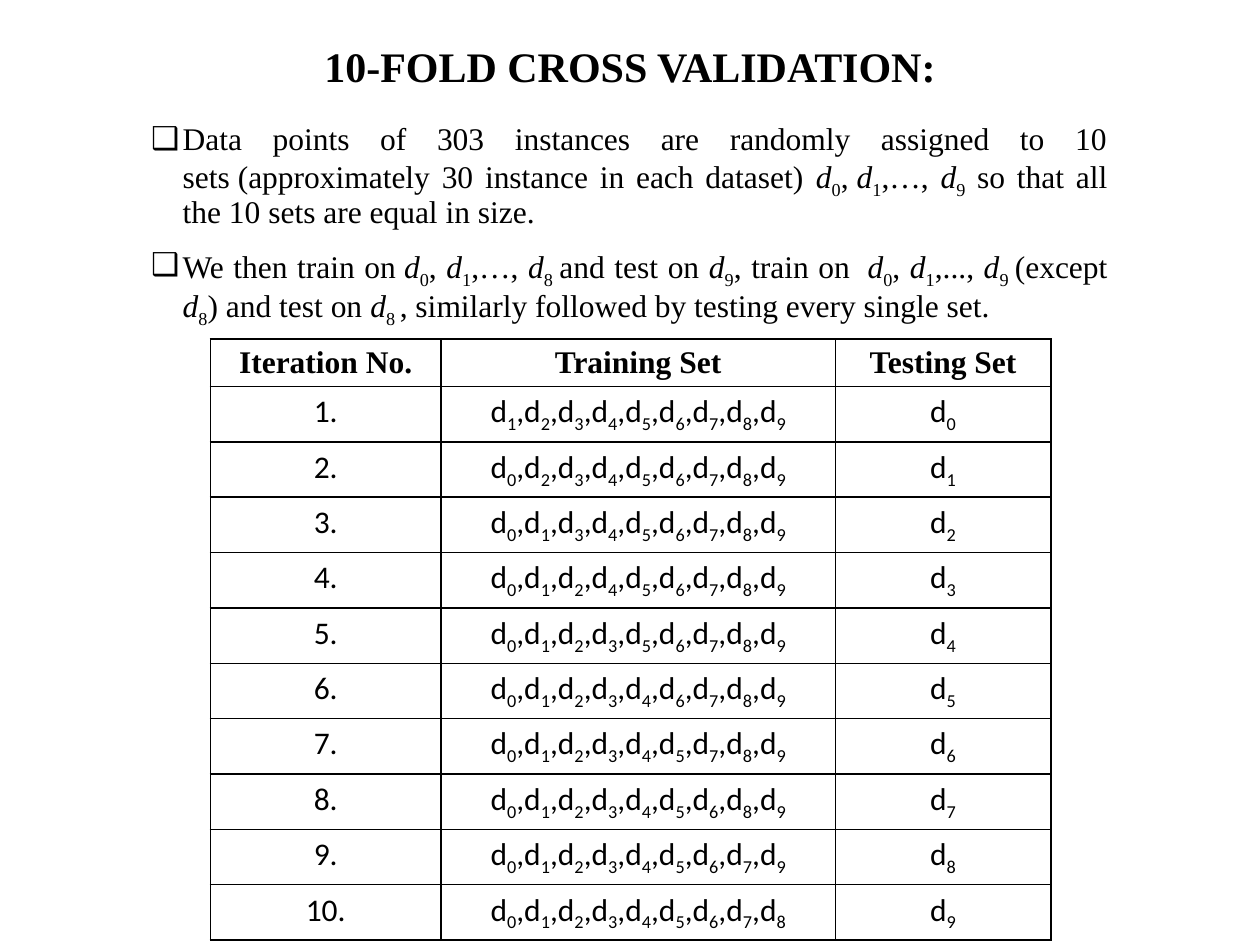
from typing import NamedTuple

import pptx
import pptx.dml.color
import pptx.enum.text
import pptx.oxml
import pptx.oxml.ns
import pptx.util
from pptx.util import Inches

BLACK = pptx.dml.color.RGBColor(0, 0, 0)
SERIF, SANS = "Times New Roman", "Calibri"
ALIGN = pptx.enum.text.PP_ALIGN
ANCHOR = pptx.enum.text.MSO_ANCHOR
FOLDS = 10
ROW_HEIGHT = 0.33


class Style(NamedTuple):
    """Look of the text in one paragraph."""
    face: str
    size: int = 18
    bold: bool = False
    italic_sets: bool = False


class Column(NamedTuple):
    """One table column."""
    heading: str
    width: float


TITLE = Style(SERIF, 24, bold=True)
BODY = Style(SERIF, italic_sets=True)
HEADING = Style(SERIF, bold=True)
CELL = Style(SANS)

COLUMNS = [
    Column("Iteration No.", 1.83),
    Column("Training Set", 3.13),
    Column("Testing Set", 1.71),
]

# {n} stands for the letter d with subscript n.
BULLETS = [
    "Data points of 303 instances are randomly assigned to 10 sets\u00a0"
    "(approximately 30 instance in each dataset) {0},\u00a0{1},\u2026, {9}"
    " so that all the 10 sets are equal in size. ",
    "We then train on\u00a0{0}, {1},\u2026, {8 }and test on {9}, train on\u00a0"
    " {0}, {1},..., {9 }(except {8}) and test on\u00a0{8 }, similarly followed"
    " by testing every single set. ",
]


def add_run(p, text: str, style: Style, italic: bool = False, sub: bool = False) -> None:
    """Append one run, if it has text."""
    if not text:
        return
    r = p.add_run()
    r.text = text
    r.font.name = style.face
    r.font.size = pptx.util.Pt(style.size)
    r.font.bold = style.bold
    r.font.italic = italic
    r.font.color.rgb = BLACK
    if sub:
        r.font._element.set("baseline", "-25000")


def write(p, text: str, style: Style, align) -> None:
    """Fill a paragraph, setting each {n} as d with a subscript."""
    p.alignment = align
    lead, *parts = text.split("{")
    add_run(p, lead, style)
    for part in parts:
        index, rest = part.split("}")
        add_run(p, "d", style, italic=style.italic_sets)
        add_run(p, index, style, sub=True)
        add_run(p, rest, style)


def place(shape, left: float, top: float, width: float, height: float) -> None:
    """Move and size a placeholder."""
    shape.left, shape.top = Inches(left), Inches(top)
    shape.width, shape.height = Inches(width), Inches(height)
    shape.text_frame.auto_size = pptx.enum.text.MSO_AUTO_SIZE.NONE


def set_bullet(p) -> None:
    """Give a paragraph a hanging box bullet."""
    pPr = p._p.get_or_add_pPr()
    pPr.set("marL", str(Inches(0.25)))
    pPr.set("indent", str(-Inches(0.25)))
    bullet = pptx.oxml.parse_xml(
        f'<a:buChar {pptx.oxml.ns.nsdecls("a")} char="\u2751"/>')
    pPr.append(bullet)


def set_borders(cell) -> None:
    """Draw 1 pt black lines around a cell."""
    tcPr = cell._tc.get_or_add_tcPr()
    for i, side in enumerate("LRTB"):
        tcPr.insert(i, pptx.oxml.parse_xml(
            f'<a:ln{side} {pptx.oxml.ns.nsdecls("a")} w="{pptx.util.Pt(1)}">'
            f'<a:solidFill><a:srgbClr val="{BLACK}"/></a:solidFill></a:ln{side}>'))


def add_title(s) -> None:
    """Fill the title placeholder."""
    title = s.shapes.title
    place(title, 0.69, 0, 8.62, 1.1)
    title.text_frame.vertical_anchor = ANCHOR.MIDDLE
    p = title.text_frame.paragraphs[0]
    write(p, "10-FOLD CROSS VALIDATION:", TITLE, ALIGN.CENTER)
    p.line_spacing = 0.9


def add_bullets(s) -> None:
    """Fill the body placeholder."""
    body = s.placeholders[1]
    place(body, 1.1, 0.93, 7.79, 1.64)
    tf = body.text_frame
    for i, text in enumerate(BULLETS):
        p = tf.add_paragraph() if i else tf.paragraphs[0]
        write(p, text, BODY, ALIGN.JUSTIFY)
        p.line_spacing = 0.9
        p.space_before = pptx.util.Pt(10)
        set_bullet(p)


def add_fold_table(s) -> None:
    """Add the table that tests each set once and trains on the others."""
    rows = [[column.heading for column in COLUMNS]]
    for test in range(FOLDS):
        training = ",".join(f"{{{n}}}" for n in range(FOLDS) if n != test)
        rows.append([f"{test + 1}.", training, f"{{{test}}}"])

    width = sum(column.width for column in COLUMNS)
    table = s.shapes.add_table(
        len(rows), len(COLUMNS), Inches(1.67), Inches(2.69),
        Inches(width), Inches(ROW_HEIGHT * len(rows))).table
    table.horz_banding = False
    for i, column in enumerate(COLUMNS):
        table.columns[i].width = Inches(column.width)
    for i, texts in enumerate(rows):
        table.rows[i].height = Inches(ROW_HEIGHT)
        for j, text in enumerate(texts):
            cell = table.cell(i, j)
            cell.fill.background()
            set_borders(cell)
            write(cell.text_frame.paragraphs[0], text,
                  CELL if i else HEADING, ALIGN.CENTER)


def main() -> None:
    """Build and save the slide."""
    prs = pptx.Presentation()
    prs.slide_width, prs.slide_height = Inches(10), Inches(7.5)
    s = prs.slides.add_slide(prs.slide_layouts[1])
    add_title(s)
    add_bullets(s)
    add_fold_table(s)
    prs.save("out.pptx")


main()
